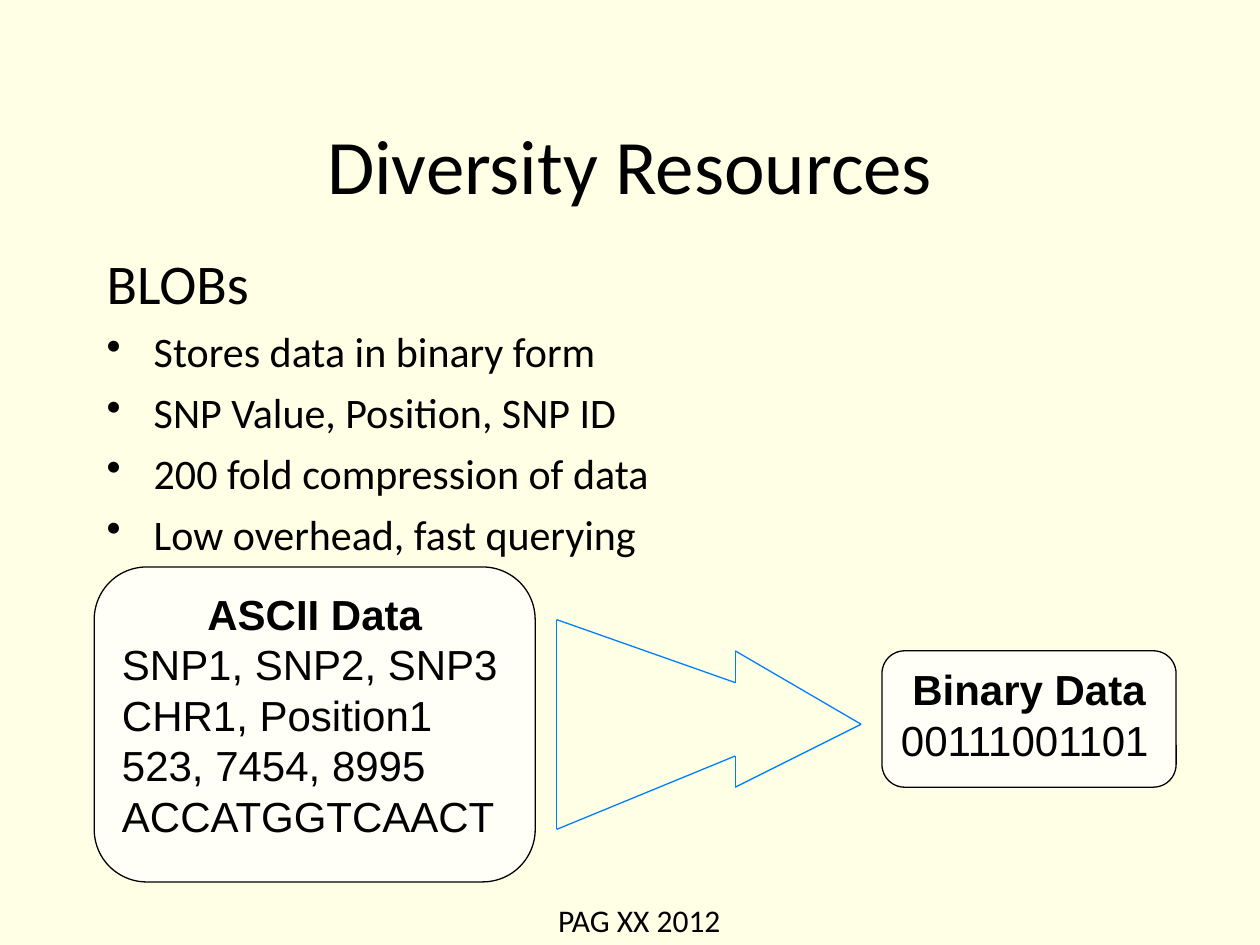
from lxml import etree
from pptx import Presentation
from pptx.dml.color import RGBColor
from pptx.enum.shapes import MSO_CONNECTOR, MSO_SHAPE
from pptx.enum.text import MSO_ANCHOR, PP_ALIGN
from pptx.oxml.ns import qn
from pptx.util import Cm, Pt

STRAIGHT = MSO_CONNECTOR.STRAIGHT
ROUNDED = MSO_SHAPE.ROUNDED_RECTANGLE
TOP, MIDDLE = MSO_ANCHOR.TOP, MSO_ANCHOR.MIDDLE
LEFT, CENTER = PP_ALIGN.LEFT, PP_ALIGN.CENTER
TITLE_ONLY = 5


def color(hex_string):
    return RGBColor.from_string(hex_string)


class SlideBuilder:
    text_font = "Calibri"
    data_font = "Arial"
    ink = "000000"
    background = "FFFFE6"
    box_fill = "FFFFF7"
    arrow_line = "007EFD"
    line_width = Pt(0.75)
    indent = Cm(0.95)

    def __init__(self, presentation):
        self.slide = presentation.slides.add_slide(presentation.slide_layouts[TITLE_ONLY])
        fill = self.slide.background.fill
        fill.solid()
        fill.fore_color.rgb = color(self.background)

    def format(self, paragraph, size, font=None, bold=False, align=LEFT):
        paragraph.alignment = align
        paragraph.font.name = font or self.text_font
        paragraph.font.size = Pt(size)
        paragraph.font.bold = bold
        paragraph.font.color.rgb = color(self.ink)

    def paragraphs(self, frame, lines):
        frame.text = "\n".join(lines)
        return frame.paragraphs

    def title(self, text, left, top, width, height):
        shape = self.slide.shapes.title
        shape.left, shape.top = Cm(left), Cm(top)
        shape.width, shape.height = Cm(width), Cm(height)
        shape.text_frame.vertical_anchor = MIDDLE
        shape.text_frame.text = text
        self.format(shape.text_frame.paragraphs[0], 44, align=CENTER)

    def text_box(self, left, top, width, height, wrap=True):
        box = self.slide.shapes.add_textbox(Cm(left), Cm(top), Cm(width), Cm(height))
        box.text_frame.word_wrap = wrap
        return box.text_frame

    def footer(self, text, left, top, width, height):
        frame = self.text_box(left, top, width, height, wrap=False)
        frame.text = text
        self.format(frame.paragraphs[0], 18)

    def bullet_list(self, heading, items, left, top, width, height):
        frame = self.text_box(left, top, width, height)
        first, *bullets = self.paragraphs(frame, [heading, *items])
        self.format(first, 32)
        for paragraph in bullets:
            properties = paragraph._p.get_or_add_pPr()
            properties.set("marL", str(self.indent))
            properties.set("indent", str(-self.indent))
            etree.SubElement(properties, qn("a:buChar")).set("char", "•")
            paragraph.space_before = Pt(6)
            self.format(paragraph, 24)

    def data_box(self, heading, lines, left, top, width, height):
        shape = self.slide.shapes.add_shape(ROUNDED, Cm(left), Cm(top), Cm(width), Cm(height))
        shape.shadow.inherit = False
        shape.fill.solid()
        shape.fill.fore_color.rgb = color(self.box_fill)
        shape.line.color.rgb = color(self.ink)
        shape.line.width = self.line_width
        shape.text_frame.word_wrap = True
        shape.text_frame.vertical_anchor = TOP
        first, *rest = self.paragraphs(shape.text_frame, [heading, *lines])
        self.format(first, 24, self.data_font, bold=True, align=CENTER)
        for paragraph in rest:
            self.format(paragraph, 24, self.data_font)

    def line(self, start, end):
        points = [Cm(value) for value in (*start, *end)]
        connector = self.slide.shapes.add_connector(STRAIGHT, *points)
        connector.line.color.rgb = color(self.arrow_line)
        connector.line.width = self.line_width
        etree.SubElement(connector._element.spPr, qn("a:effectLst"))

    def outline(self, corners):
        for start, end in zip(corners, corners[1:] + corners[:1]):
            self.line(start, end)


def main():
    presentation = Presentation()
    presentation.slide_width, presentation.slide_height = Cm(25.4), Cm(19.05)
    builder = SlideBuilder(presentation)

    # Heading and footer
    builder.footer("PAG XX 2012", 11, 18.03, 3.84, 1.02)
    builder.title("Diversity Resources", 1.9, 1.7, 21.6, 3.18)

    # Key points
    builder.bullet_list(
        "BLOBs",
        [
            "Stores data in binary form",
            "SNP Value, Position, SNP ID",
            "200 fold compression of data",
            "Low overhead, fast querying",
        ],
        1.9, 4.88, 21.6, 11.43,
    )

    # Data before and after compression
    builder.data_box(
        "ASCII Data",
        ["SNP1, SNP2, SNP3", "CHR1, Position1", "523, 7454, 8995", "ACCATGGTCAACT"],
        1.9, 11.43, 8.89, 6.35,
    )
    builder.data_box("Binary Data", ["00111001101"], 17.78, 13.12, 5.93, 2.75)

    # Narrowing arrow, clockwise from its upper left corner
    tail, neck, tip = 11.22, 14.82, 17.36
    builder.outline([
        (tail, 12.49), (neck, 13.76), (neck, 13.12), (tip, 14.6),
        (neck, 15.87), (neck, 15.24), (tail, 16.72),
    ])

    presentation.save("out.pptx")


if __name__ == "__main__":
    main()
